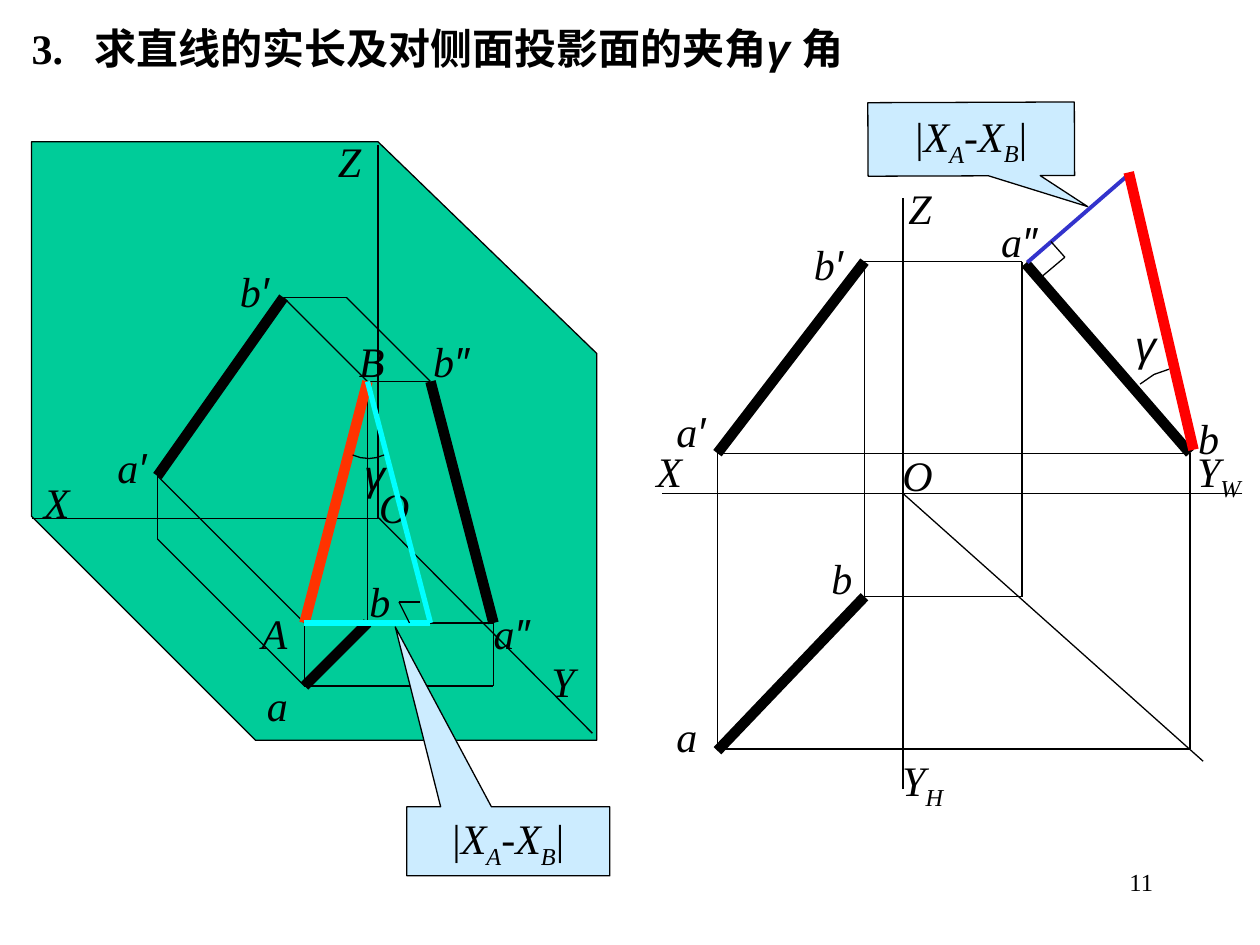
from dataclasses import dataclass
from itertools import pairwise

from lxml import etree
from pptx import Presentation
from pptx.dml.color import RGBColor
from pptx.enum.shapes import MSO_CONNECTOR, MSO_SHAPE
from pptx.enum.text import MSO_ANCHOR, PP_ALIGN
from pptx.oxml.ns import qn
from pptx.util import Pt

STRAIGHT = MSO_CONNECTOR.STRAIGHT
CALLOUT = MSO_SHAPE.RECTANGULAR_CALLOUT
MIDDLE = MSO_ANCHOR.MIDDLE
CENTER, RIGHT = PP_ALIGN.CENTER, PP_ALIGN.RIGHT


@dataclass(frozen=True)
class Theme:
    ink: str = "000000"
    plane: str = "00CC99"
    note: str = "CCECFF"
    true: str = "FF3300"
    cyan: str = "00FFFF"
    blue: str = "3333CC"
    red: str = "FF0000"
    serif: str = "Times New Roman"
    sans: str = "Arial"
    size: float = 24
    small: float = 14
    thin: float = 0.75
    mid: float = 2.25
    bold: float = 3
    thick: float = 6


T = Theme()
DELTA = [("|", ""), ("X", "i"), ("A", "is"), ("-X", "i"), ("B", "is"), ("|", "")]


def rgb(code):
    return RGBColor.from_string(code)


def line(slide, start, end, width=T.thin, color=T.ink):
    ends = [Pt(v) for v in (*start, *end)]
    item = slide.shapes.add_connector(STRAIGHT, *ends)
    item.line.color.rgb = rgb(color)
    item.line.width = Pt(width)
    etree.SubElement(item._element.spPr, qn("a:effectLst"))


def chain(slide, *points):
    for start, end in pairwise(points):
        line(slide, start, end)


def paint(shape, fill=None):
    shape.shadow.inherit = False
    if fill:
        shape.fill.solid()
        shape.fill.fore_color.rgb = rgb(fill)
    else:
        shape.fill.background()
    shape.line.color.rgb = rgb(T.ink)
    shape.line.width = Pt(T.thin)


def outline(slide, points, fill=None):
    dots = [(Pt(x), Pt(y)) for x, y in points]
    pen = slide.shapes.build_freeform(*dots[0])
    pen.add_line_segments(dots[1:], close=bool(fill))
    paint(pen.convert_to_shape(), fill)


def write(par, parts, size=T.size):
    for text, flags in parts:
        run = par.add_run()
        run.text = text
        font = run.font
        font.size = Pt(size)
        font.name = T.sans if "g" in flags else T.serif
        font.color.rgb = rgb(T.ink)
        font.italic = "i" in flags
        font.bold = "b" in flags
        if "s" in flags:
            run._r.get_or_add_rPr().set("baseline", "-25000")


def box(slide, x, y, w, h):
    item = slide.shapes.add_textbox(Pt(x), Pt(y), Pt(w), Pt(h))
    item.text_frame.word_wrap = True
    return item


def label(slide, text, x, y, w=46, turn=0):
    name, _, sub = text.partition("_")
    parts = [(c, "ig" if c in "′″γ" else "i") for c in name]
    if sub:
        parts.append((sub, "is"))
    item = box(slide, x, y, w, 40 if sub else 36)
    item.rotation = turn
    write(item.text_frame.paragraphs[0], parts)


def callout(slide, x, y, w, h, tip, turn=0):
    item = slide.shapes.add_shape(CALLOUT, Pt(x), Pt(y), Pt(w), Pt(h))
    item.adjustments[0], item.adjustments[1] = tip
    item.rotation = turn
    paint(item, T.note)
    frame = item.text_frame
    frame.word_wrap = False
    frame.vertical_anchor = MIDDLE
    par = frame.paragraphs[0]
    par.alignment = CENTER
    write(par, DELTA)


def title(slide):
    frame = box(slide, 11, 0, 612, 54).text_frame
    frame.vertical_anchor = MIDDLE
    par = frame.paragraphs[0]
    tabs = etree.SubElement(par._p.get_or_add_pPr(), qn("a:tabLst"))
    etree.SubElement(tabs, qn("a:tab"), pos=str(Pt(36)), algn="l")
    write(par, [("3.\t求直线的实长及对侧面投影面的夹角", "b"),
                ("γ ", "big"), ("角", "b")])


def space(slide):
    outline(slide, [(18, 81), (18, 295), (146, 423), (341, 423),
                    (341, 202), (216, 81)], T.plane)
    line(slide, (18, 296.5), (216, 296.5))
    line(slide, (216.5, 296), (338.5, 419))
    line(slide, (216, 83), (216, 296.5))

    front_b, front_a = (162, 170), (90, 272)
    side_b, side_a = (246, 218), (282, 356)
    top_b, top_a = (210, 356), (174, 392)
    real_b, real_a = (210, 218), (174, 356)
    chain(slide, front_b, (198, 170), side_b, real_b, front_b)
    chain(slide, real_a, front_a, (90, 308), top_a, (282, 392), side_a,
          real_a, top_a)
    line(slide, real_b, top_b)
    for start, end in ((side_b, side_a), (front_b, front_a), (top_a, top_b)):
        line(slide, start, end, T.thick)
    for spot in (("X", 18, 268.5), ("Z", 186, 74, 73), ("Y", 308, 371),
                 ("O", 209.5, 271.5), ("A", 142.5, 343.5, 53),
                 ("B", 198, 188, 53), ("b", 204, 325.5, 30),
                 ("b′", 130, 148, 72), ("a″", 275, 343.5, 53),
                 ("b″", 240.5, 188, 53), ("a", 145.5, 385, 30),
                 ("a′", 60, 248.5, 72)):
        label(slide, *spot)

    line(slide, real_b, real_a, T.thick, T.true)
    corner = (246, 356)
    line(slide, real_b, corner, T.bold, T.cyan)
    label(slide, "γ", 201, 252.5, 30)
    outline(slide, [(201.5, 260), (206, 261.5), (211, 262),
                    (215, 261.5), (219.5, 260)])
    line(slide, real_a, corner, T.bold, T.cyan)
    chain(slide, (240, 344), (228, 344), (234, 356))
    callout(slide, 232.5, 461, 116, 39.5, (-0.557, -3.103))


def views(slide):
    left, inner, mid, right = 410, 494, 584, 680
    high, low, under, base = 149.5, 259, 341, 428
    line(slide, (516, 451), (516, 113))
    line(slide, (710, 282), (378, 282))
    line(slide, (516, 282), (687.5, 435))
    chain(slide, (inner, high), (mid, high), (mid, under),
          (inner, under), (inner, high))
    chain(slide, (left, low), (right, low), (right, base),
          (left, base), (left, low))
    for start, end in (((586, 150.5), (right, low)),
                       ((inner, under), (left, 429)),
                       ((inner, high), (left, low))):
        line(slide, start, end, T.thick)
    for spot in (("Z", 512, 101, 36), ("X", 368, 251, 35),
                 ("a′", 379.5, 228, 58), ("b", 677.5, 232, 48),
                 ("a", 379.5, 402.5, 30), ("O", 508.5, 253.5, 35),
                 ("Y_H", 508.5, 427.5, 81), ("Y_W", 677, 251, 81),
                 ("a″", 565, 119.5, 48), ("b", 468, 312, 30),
                 ("b′", 458, 133, 93)):
        label(slide, *spot)

    line(slide, (587, 150), (643.5, 101), T.mid, T.blue)
    line(slide, (682, 257), (645, 98.5), T.thick, T.red)
    chain(slide, (596, 157.5), (608.5, 147), (600.5, 138))
    callout(slide, 496, 58.5, 118, 42, (0.563, 0.924), -0.2)
    label(slide, "γ", 641.5, 179, 30, -0.5)
    outline(slide, [(651.5, 219.5), (659.5, 214), (668, 211)])


def number(slide):
    par = box(slide, 516, 492, 150, 36).text_frame.paragraphs[0]
    par.alignment = RIGHT
    write(par, [("11", "")], T.small)


def main():
    deck = Presentation()
    deck.slide_width, deck.slide_height = Pt(720), Pt(540)
    slide = deck.slides.add_slide(deck.slide_layouts[6])
    title(slide)
    space(slide)
    views(slide)
    number(slide)
    deck.save("out.pptx")


if __name__ == "__main__":
    main()
